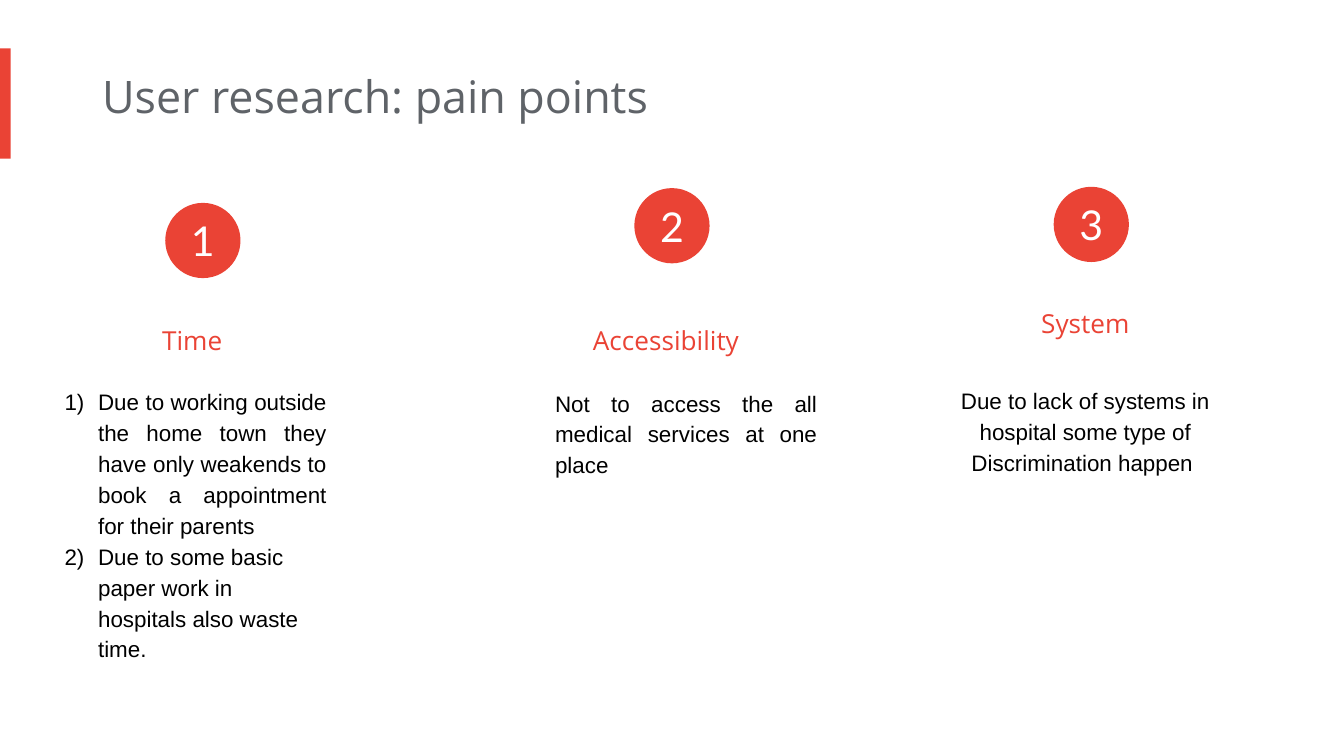
from dataclasses import dataclass

from lxml import etree
from pptx import Presentation
from pptx.dml.color import RGBColor
from pptx.enum.shapes import MSO_SHAPE
from pptx.enum.text import MSO_ANCHOR, PP_ALIGN
from pptx.oxml.ns import qn
from pptx.util import Inches, Pt

LEFT, CENTER, JUSTIFY = PP_ALIGN.LEFT, PP_ALIGN.CENTER, PP_ALIGN.JUSTIFY
MIDDLE = MSO_ANCHOR.MIDDLE
RECTANGLE, OVAL = MSO_SHAPE.RECTANGLE, MSO_SHAPE.OVAL

COLORS = {"accent": "EA4335", "title": "5F6368", "body": "000000", "badge": "FFFFFF"}
SLIDE_WIDTH = Inches(10)
SLIDE_HEIGHT = SLIDE_WIDTH * 9 // 16
COLUMN_WIDTH = 2.05
HEADING_HEIGHT = 0.56
BADGE_SIZE = 0.56
NUMBER_INDENT = Inches(0.25)


@dataclass
class Style:
    font: str
    size: float
    color: str
    spacing: float = 1.0


TITLE = Style("Open Sans", 24, "title")
HEADING = Style("Open Sans", 14, "accent", 1.5)
BODY = Style("Arial", 12, "body", 1.15)
BADGE = Style("Lato", 22, "badge")


@dataclass
class PainPoint:
    heading: str
    lines: list[str]
    alignments: list[PP_ALIGN]
    badge_at: tuple[float, float]
    heading_at: tuple[float, float]
    body_at: tuple[float, float]
    body_height: float = 0.9
    numbered: bool = False


PAIN_POINTS = [
    PainPoint(
        "Time ",
        ["Due to working outside the home town they have only weakends to book "
         "a appointment for their parents ",
         "Due to some basic paper work in hospitals also waste time."],
        [JUSTIFY, LEFT], (1.23, 1.51), (0.48, 2.2), (0.48, 2.76), 2.29, True),
    PainPoint(
        "Accessibility",
        ["Not to access the all medical services at one place "],
        [JUSTIFY], (4.72, 1.4), (3.98, 2.2), (4.13, 2.77)),
    PainPoint(
        "System",
        ["Due to lack of systems in hospital some type of Discrimination happen "],
        [CENTER], (7.84, 1.39), (7.1, 2.07), (7.1, 2.75)),
]


def color_of(name: str) -> RGBColor:
    return RGBColor.from_string(COLORS[name])


def add_numbering(para) -> None:
    properties = para._p.get_or_add_pPr()
    properties.set("marL", str(NUMBER_INDENT))
    properties.set("indent", str(-NUMBER_INDENT))
    numbering = etree.SubElement(properties, qn("a:buAutoNum"))
    numbering.set("type", "arabicParenR")


def write(frame, lines: list[str], style: Style, alignments: list[PP_ALIGN],
          numbered: bool = False) -> None:
    frame.text = "\n".join(lines)
    for para, alignment in zip(frame.paragraphs, alignments):
        para.alignment = alignment
        para.line_spacing = style.spacing
        if numbered:
            add_numbering(para)
        for span in para.runs:
            span.font.name = style.font
            span.font.size = Pt(style.size)
            span.font.color.rgb = color_of(style.color)


def add_text(page, at: tuple[float, float], width: float, height: float,
             lines: list[str], style: Style, alignments: list[PP_ALIGN],
             numbered: bool = False) -> None:
    box = page.shapes.add_textbox(*map(Inches, (*at, width, height)))
    frame = box.text_frame
    frame.word_wrap = True
    frame.margin_left = 0
    frame.margin_top = frame.margin_right = frame.margin_bottom = Inches(0.1)
    write(frame, lines, style, alignments, numbered)


def add_accent_shape(page, kind: MSO_SHAPE, at: tuple[float, float],
                     width: float, height: float):
    shape = page.shapes.add_shape(kind, *map(Inches, (*at, width, height)))
    shape.shadow.inherit = False
    shape.fill.solid()
    shape.fill.fore_color.rgb = color_of("accent")
    shape.line.fill.background()
    return shape


def add_badge(page, number: int, at: tuple[float, float]) -> None:
    frame = add_accent_shape(page, OVAL, at, BADGE_SIZE, BADGE_SIZE).text_frame
    frame.margin_left = frame.margin_top = frame.margin_right = frame.margin_bottom = 0
    frame.vertical_anchor = MIDDLE
    write(frame, [str(number)], BADGE, [CENTER])


def add_pain_point(page, number: int, point: PainPoint) -> None:
    add_text(page, point.heading_at, COLUMN_WIDTH, HEADING_HEIGHT,
             [point.heading], HEADING, [CENTER])
    add_text(page, point.body_at, COLUMN_WIDTH, point.body_height,
             point.lines, BODY, point.alignments, point.numbered)
    add_badge(page, number, point.badge_at)


def main() -> None:
    deck = Presentation()
    deck.slide_width, deck.slide_height = SLIDE_WIDTH, SLIDE_HEIGHT
    page = deck.slides.add_slide(deck.slide_layouts[6])

    # Title with its side bar
    add_accent_shape(page, RECTANGLE, (0, 0.36), 0.08, 0.82)
    add_text(page, (0.76, 0.41), 6.73, 0.61,
             ["User research: pain points"], TITLE, [LEFT])

    # Numbered columns
    for number, point in enumerate(PAIN_POINTS, start=1):
        add_pain_point(page, number, point)

    deck.save("out.pptx")


if __name__ == "__main__":
    main()
